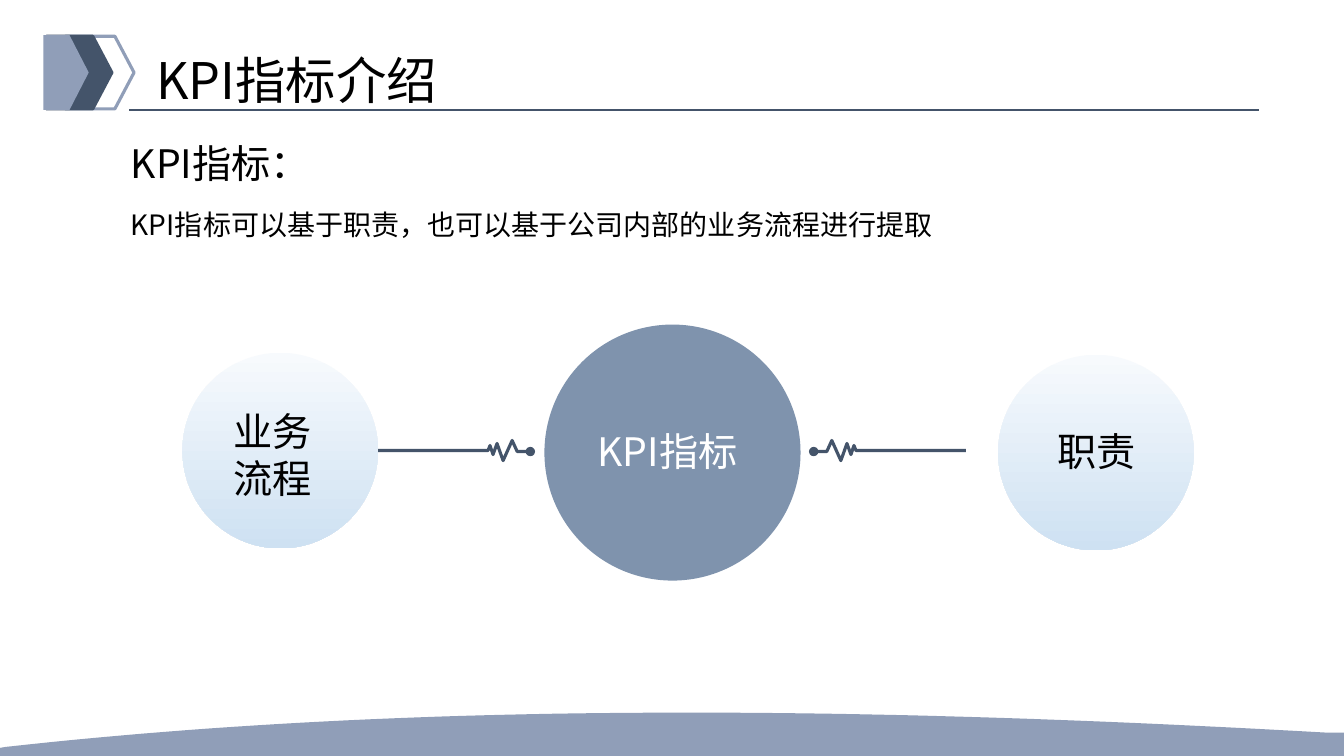
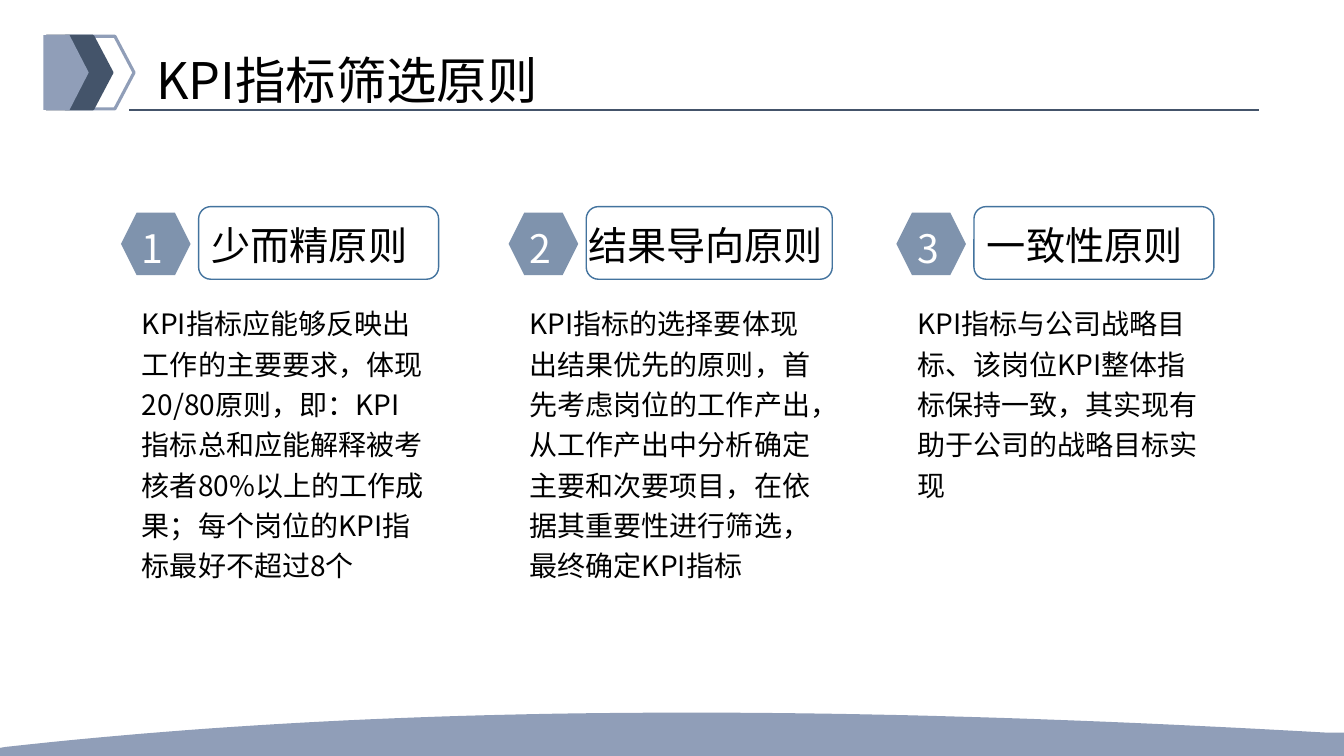
from lxml.etree import SubElement
from pptx import Presentation
from pptx.dml.color import RGBColor
from pptx.enum.shapes import MSO_CONNECTOR, MSO_SHAPE as SHAPE
from pptx.enum.text import MSO_ANCHOR as ANCHOR
from pptx.oxml.ns import qn
from pptx.util import Pt

PX = 9144  # EMU per px, 100 px to the inch
WIDTH, HEIGHT = 1333, 750
FONT = "Noto Sans CJK SC"

BLACK = RGBColor(0x00, 0x00, 0x00)
WHITE = RGBColor(0xFF, 0xFF, 0xFF)
NAVY = RGBColor(0x44, 0x54, 0x6A)
LAVENDER = RGBColor(0x90, 0x9E, 0xB8)
STEEL = RGBColor(0x7F, 0x93, 0xAD)
OUTLINE = RGBColor(0x43, 0x73, 0x9E)
PALE_TOP = RGBColor(0xF7, 0xFA, 0xFD)
PALE_BOTTOM = RGBColor(0xCE, 0xE1, 0xF2)

# Shared header and footer: points, fill, line
CHEVRONS = [
    ([(65, 36), (114, 36), (133, 72), (114, 108), (65, 108), (46, 72)], None, LAVENDER),
    ([(46, 36), (92, 36), (111, 72), (92, 108), (46, 108)], NAVY, NAVY),
    ([(43, 35), (69, 35), (88, 72), (69, 109), (43, 109)], LAVENDER, None),
]
HILL_LEFT = [(6, 741), (232, 716), (458, 707), (684, 707)]
HILL_RIGHT = [(684, 707), (895, 707), (1106, 715), (1318, 727)]

# Slide 1
INTRO_TITLE = "KPI指标介绍"
INTRO_TEXT = [("KPI指标：", 28), ("KPI指标可以基于职责，也可以基于公司内部的业务流程进行提取", 20)]
CIRCLES = [  # left, top, diameter, fill
    (540, 322, 254, STEEL),
    (990, 352, 194, (PALE_TOP, PALE_BOTTOM)),
    (181, 350, 194, (PALE_TOP, PALE_BOTTOM)),
]
LABELS = [  # text, box, colour
    ("KPI指标", (583, 419, 180, 57), WHITE),
    ("职责", (1039, 419, 110, 57), BLACK),
    ("业务流程", (222, 399, 110, 104), BLACK),
]
PULSE = [(807, 448), (820, 448), (825, 437), (834, 457), (840, 440),
         (844, 451), (847, 442), (849, 447), (958, 447)]

# Slide 2
RULES_TITLE = "KPI指标筛选原则"
RULES = [  # heading, heading offset, frame width, text
    ("少而精原则", 80, 238,
     "KPI指标应能够反映出工作的主要要求，体现20/80原则，即：KPI指标总和应能解释被考核者80%以上的"
     "工作成果；每个岗位的KPI指标最好不超过8个"),
    ("结果导向原则", 69, 244,
     "KPI指标的选择要体现出结果优先的原则，首先考虑岗位的工作产出，从工作产出中分析确定主要和次要项目，"
     "在依据其重要性进行筛选，最终确定KPI指标"),
    ("一致性原则", 80, 238,
     "KPI指标与公司战略目标、该岗位KPI整体指标保持一致，其实现有助于公司的战略目标实现"),
]
RULES_LEFT, RULES_RIGHT = 120, 889


def emu(*lengths):
    return [round(n * PX) for n in lengths]


def style(sp, fill=None, line=None, weight=1):
    """Fill may be None, a colour, or a (top, bottom) pair."""
    sp.shadow.inherit = False
    if fill is None:
        sp.fill.background()
    elif isinstance(fill, RGBColor):
        sp.fill.solid()
        sp.fill.fore_color.rgb = fill
    else:
        sp.fill.gradient()
        sp.fill.gradient_angle = 270
        for stop, color, position in zip(sp.fill.gradient_stops, fill, (0, 1)):
            stop.color.rgb = color
            stop.position = position
    if line is None:
        sp.line.fill.background()
    else:
        sp.line.color.rgb = line
        sp.line.width = Pt(weight)
    return sp


def add_shape(s, kind, box, **look):
    return style(s.shapes.add_shape(kind, *emu(*box)), **look)


def add_outline(s, points, close=True, **look):
    start, *rest = [emu(*point) for point in points]
    builder = s.shapes.build_freeform(*start)
    builder.add_line_segments(rest, close=close)
    return style(builder.convert_to_shape(), **look)


def add_text(s, paragraphs, box, size=28, color=BLACK, anchor=ANCHOR.TOP,
             spacing=None, before=0):
    """Paragraphs is a string, or a list of (text, size)."""
    if isinstance(paragraphs, str):
        paragraphs = [(paragraphs, size)]
    tf = s.shapes.add_textbox(*emu(*box)).text_frame
    tf.word_wrap = True
    tf.vertical_anchor = anchor
    for i, (text, points) in enumerate(paragraphs):
        p = tf.add_paragraph() if i else tf.paragraphs[0]
        p.space_before = Pt(before)
        if spacing:
            p.line_spacing = spacing
        r = p.add_run()
        r.text = text
        r.font.size = Pt(points)
        r.font.name = FONT
        r.font.color.rgb = color
        SubElement(r.font._element, qn("a:ea")).set("typeface", FONT)


def bezier(a, b, c, d, steps=30):
    for t in (i / steps for i in range(steps + 1)):
        u = 1 - t
        yield tuple(u**3 * p + 3 * u * u * t * q + 3 * u * t * t * v + t**3 * w
                    for p, q, v, w in zip(a, b, c, d))


def add_framed_slide(prs, title):
    s = prs.slides.add_slide(prs.slide_layouts[6])
    for points, fill, line in CHEVRONS:
        add_outline(s, points, fill=fill, line=line, weight=2.25)
    rule = s.shapes.add_connector(MSO_CONNECTOR.STRAIGHT, *emu(128, 109, 1249, 109))
    rule.line.color.rgb = NAVY
    rule.line.width = Pt(1.5)
    SubElement(rule._element.spPr, qn("a:effectLst"))
    hill = [(0, HEIGHT), (0, 742), *bezier(*HILL_LEFT), *bezier(*HILL_RIGHT),
            (WIDTH, 727), (WIDTH, HEIGHT)]
    add_outline(s, hill, fill=LAVENDER)
    add_text(s, title, (145, 32, 1150, 101), size=36, anchor=ANCHOR.MIDDLE, spacing=0.9)
    return s


def add_intro_slide(prs):
    s = add_framed_slide(prs, INTRO_TITLE)
    add_text(s, INTRO_TEXT, (120, 124, 1150, 200), spacing=1.2, before=10)
    for left, top, size, fill in CIRCLES:
        add_shape(s, SHAPE.OVAL, (left, top, size, size), fill=fill)
    for points in (PULSE, [(WIDTH - x, y) for x, y in PULSE]):
        pulse = add_outline(s, points, close=False, line=NAVY, weight=2.25)
        SubElement(pulse.line._get_or_add_ln(), qn("a:headEnd")).set("type", "oval")
    for text, box, color in LABELS:
        add_text(s, text, box, color=color)


def add_rules_slide(prs):
    s = add_framed_slide(prs, RULES_TITLE)
    step = (RULES_RIGHT - RULES_LEFT) / (len(RULES) - 1)
    for i, (heading, offset, width, text) in enumerate(RULES):
        x = RULES_LEFT + i * step
        add_shape(s, SHAPE.ROUNDED_RECTANGLE, (x + 77, 205, width, 72), line=OUTLINE)
        add_text(s, heading, (x + offset, 205, 270, 71), spacing=1.2, before=10)
        add_shape(s, SHAPE.HEXAGON, (x, 211, 69, 62), fill=STEEL)
        add_text(s, str(i + 1), (x + 11, 208, 53, 61), color=WHITE, spacing=1.2, before=10)
        add_text(s, text, (x + 11, 293, 303, 293), size=20, spacing=1.2)


def main():
    prs = Presentation()
    prs.slide_width, prs.slide_height = emu(WIDTH, HEIGHT)
    add_intro_slide(prs)
    add_rules_slide(prs)
    prs.save("out.pptx")


if __name__ == "__main__":
    main()
